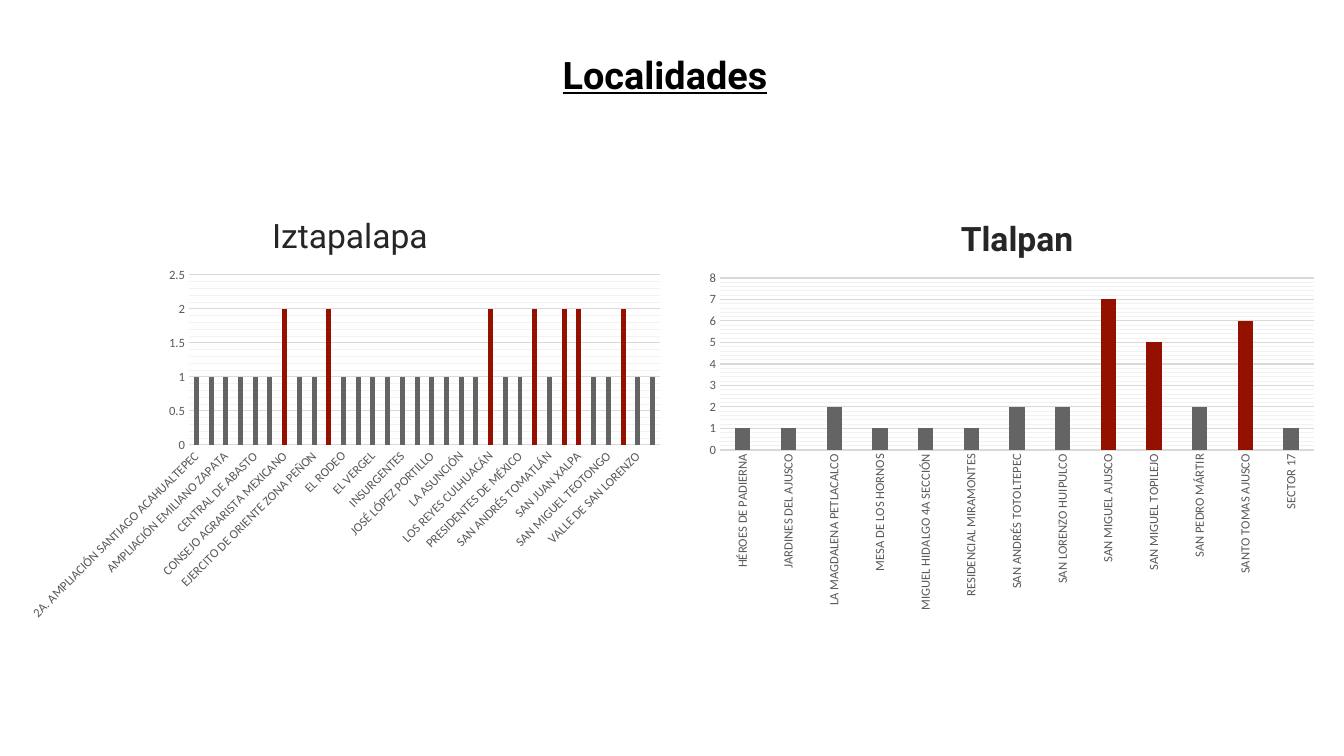
from dataclasses import dataclass
from pptx import Presentation
from pptx.chart.data import CategoryChartData as Data
from pptx.dml.color import RGBColor as Rgb
from pptx.enum.chart import XL_CHART_TYPE as Kind, XL_TICK_MARK as Tick
from pptx.enum.text import MSO_ANCHOR as Anchor, PP_ALIGN as Align
from pptx.oxml import parse_xml
from pptx.oxml.ns import nsdecls, qn
from pptx.util import Pt

HUES = {"ink": "000000", "head": "262626", "label": "595959", "grid": "D9D9D9",
        "minor": "F2F2F2", "bar": "646464", "peak": "941100"}


@dataclass
class Box:
    x: float
    y: float
    w: float
    h: float


@dataclass
class Graph:
    name: str
    bold: bool
    box: Box
    plot: Box
    head: tuple[float, float]
    turn: int
    top: float
    step: float
    floor: int
    bars: dict[str, int]


EAST = """2A. AMPLIACIÓN SANTIAGO ACAHUALTEPEC
ACULCO
AMPLIACIÓN EMILIANO ZAPATA
APATLACO
CENTRAL DE ABASTO
CHINAMPAC DE JUÁREZ
CONSEJO AGRARISTA MEXICANO
DESARROLLO URBANO QUETZALCOATL
EJERCITO DE ORIENTE ZONA PEÑON
EL PARAÍSO
EL RODEO
EL ROSARIO
EL VERGEL
ESTRELLA DEL SUR
INSURGENTES
IZTLAHUACÁN
JOSÉ LÓPEZ PORTILLO
JUAN ESCUTIA
LA ASUNCIÓN
LA POLVORILLA
LOS REYES CULHUACÁN
PARQUE NACIONAL CERRO DE LA ESTRELLA
PRESIDENTES DE MÉXICO
REFORMA POLÍTICA
SAN ANDRÉS TOMATLÁN
SAN ANTONIO
SAN JUAN XALPA
SAN MIGUEL
SAN MIGUEL TEOTONGO
TULYEHUALCO
VALLE DE SAN LORENZO
XALPA""".splitlines()
TWOS = {6, 9, 20, 23, 25, 26, 29}

SOUTH = {
    "HÉROES DE PADIERNA": 1,
    "JARDINES DEL AJUSCO": 1,
    "LA MAGDALENA PETLACALCO": 2,
    "MESA DE LOS HORNOS": 1,
    "MIGUEL HIDALGO 4A SECCIÓN": 1,
    "RESIDENCIAL MIRAMONTES": 1,
    "SAN ANDRÉS TOTOLTEPEC": 2,
    "SAN LORENZO HUIPULCO": 2,
    "SAN MIGUEL AJUSCO": 7,
    "SAN MIGUEL TOPILEJO": 5,
    "SAN PEDRO MÁRTIR": 2,
    "SANTO TOMAS AJUSCO": 6,
    "SECTOR 17": 1,
}

GRAPHS = [
    Graph("Iztapalapa", False, Box(12.2, 131.8, 468, 317.5),
          Box(135, 196.4, 336.4, 121.4), (190, 148), -45, 2.5, 0.5, 2,
          {name: 2 if i in TWOS else 1 for i, name in enumerate(EAST)}),
    Graph("Tlalpan", True, Box(497.5, 134.6, 450, 307.4),
          Box(514.3, 198.6, 424.3, 122.9), (682, 150), -90, 8, 1, 5, SOUTH),
]


def tint(key: str) -> Rgb:
    return Rgb.from_string(HUES[key])


def style(font, face: str, size: float, hue: str, bold: bool = False) -> None:
    font.name, font.size, font.bold = face, Pt(size), bold
    font.color.rgb = tint(hue)


def stroke(line, hue: str) -> None:
    line.color.rgb = tint(hue)
    line.width = Pt(0.75)


def place(node, spot: int, inner: bool, **parts: float) -> None:
    for old in node.findall(qn("c:layout")):
        node.remove(old)
    tags = '<c:layoutTarget val="inner"/>' if inner else ""
    tags += '<c:xMode val="edge"/><c:yMode val="edge"/>'
    tags += "".join(f'<c:{key} val="{val:.4f}"/>' for key, val in parts.items())
    node.insert(spot, parse_xml(
        f'<c:layout {nsdecls("c")}><c:manualLayout>{tags}</c:manualLayout></c:layout>'))


def draw(slide, graph: Graph) -> None:
    data = Data()
    data.categories = list(graph.bars)
    data.add_series("Series 1", list(graph.bars.values()))
    box, area = graph.box, graph.plot
    chart = slide.shapes.add_chart(
        Kind.COLUMN_CLUSTERED, Pt(box.x), Pt(box.y), Pt(box.w), Pt(box.h), data).chart
    style(chart.font, "Calibri", 10, "ink")
    chart.has_legend = False

    title = chart.chart_title
    title.text_frame.text = graph.name
    style(title.text_frame.paragraphs[0].font, "Roboto", 24, "head", graph.bold)
    left, top = graph.head
    place(title._element, 1, False, x=(left - box.x) / box.w, y=(top - box.y) / box.h)
    place(chart._chartSpace.chart.plotArea, 0, True,
          x=(area.x - box.x) / box.w, y=(area.y - box.y) / box.h,
          w=area.w / box.w, h=area.h / box.h)

    plot = chart.plots[0]
    plot.gap_width = 199
    plot.vary_by_categories = False
    bars = plot.series[0]
    bars.format.fill.solid()
    bars.format.fill.fore_color.rgb = tint("bar")
    for i, value in enumerate(graph.bars.values()):
        if value >= graph.floor:
            fill = bars.points[i].format.fill
            fill.solid()
            fill.fore_color.rgb = tint("peak")

    names, scale = chart.category_axis, chart.value_axis
    for axis in (names, scale):
        axis.major_tick_mark = axis.minor_tick_mark = Tick.NONE
        style(axis.tick_labels.font, "Calibri", 9, "label")
    stroke(names.format.line, "grid")
    body = names._element.find(qn("c:txPr")).find(qn("a:bodyPr"))
    body.set("rot", str(graph.turn * 60000))
    body.set("vert", "horz")
    scale.format.line.fill.background()
    scale.minimum_scale, scale.maximum_scale = 0, graph.top
    scale.major_unit, scale.minor_unit = graph.step, graph.step / 5
    scale.has_major_gridlines = scale.has_minor_gridlines = True
    stroke(scale.major_gridlines.format.line, "grid")
    scale._element.find(qn("c:minorGridlines")).append(parse_xml(
        f'<c:spPr {nsdecls("c", "a")}><a:ln w="{Pt(0.75)}"><a:solidFill>'
        f'<a:srgbClr val="{HUES["minor"]}"/></a:solidFill></a:ln></c:spPr>'))


def main() -> None:
    deck = Presentation()
    deck.slide_width, deck.slide_height = Pt(960), Pt(540)
    slide = deck.slides.add_slide(deck.slide_layouts[6])
    frame = slide.shapes.add_textbox(Pt(0), Pt(33), Pt(950), Pt(40.5)).text_frame
    frame.word_wrap = True
    frame.vertical_anchor = Anchor.MIDDLE
    line = frame.paragraphs[0]
    line.text = "Localidades"
    line.alignment = Align.CENTER
    style(line.font, "Roboto", 27, "ink", True)
    line.font.underline = True
    for graph in GRAPHS:
        draw(slide, graph)
    deck.save("out.pptx")


if __name__ == "__main__":
    main()
